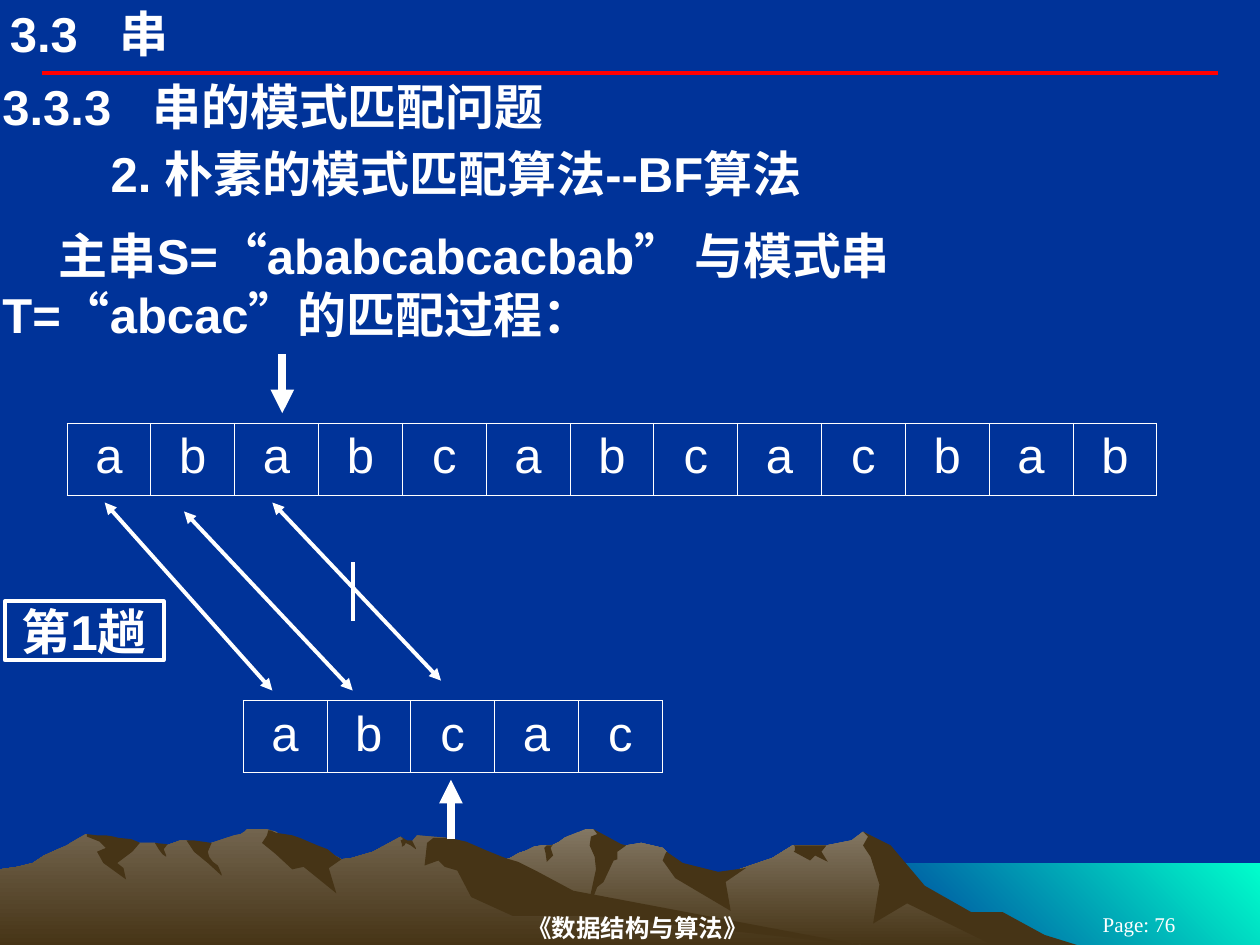
from lxml import etree
from pptx import Presentation
from pptx.dml.color import RGBColor
from pptx.enum.shapes import MSO_CONNECTOR, MSO_SHAPE
from pptx.enum.text import MSO_ANCHOR, MSO_AUTO_SIZE, PP_ALIGN
from pptx.oxml.ns import qn
from pptx.util import Cm, Pt

STRAIGHT = MSO_CONNECTOR.STRAIGHT
RECTANGLE = MSO_SHAPE.RECTANGLE
TOP, MIDDLE = MSO_ANCHOR.TOP, MSO_ANCHOR.MIDDLE
LEFT, CENTER = PP_ALIGN.LEFT, PP_ALIGN.CENTER

COLORS = {"background": "003399", "text": "FFFFFF", "rule": "FF0000", "sea": "00FFCC",
          "right_ridge": "837763", "left_ridge": "72644E", "shade": "463416"}
POINT_SCALE = Cm(2.54) / 100
CELL_WIDTH, CELL_HEIGHT = 1.69, 1.45

SEA = [(1000, 752), (683, 752), (683, 685), (1000, 685)]
RIGHT_RIDGE = [
    (802, 740), (778, 727), (764, 723), (723, 698), (702, 671), (685, 660), (676, 667),
    (656, 671), (629, 671), (613, 681), (566, 697), (536, 690), (529, 676), (526, 673),
    (509, 669), (497, 671), (486, 673), (474, 661), (471, 658), (465, 658), (450, 664),
    (448, 665), (444, 668), (438, 671), (433, 671), (430, 671), (424, 672), (418, 675),
    (412, 677), (405, 681), (399, 683), (395, 684), (394, 685), (355, 698), (327, 709),
    (277, 739), (258, 751), (821, 751)]
RIGHT_SHADES = [
    [(796, 724), (771, 724), (734, 703), (707, 671), (685, 660), (689, 664), (685, 671),
     (691, 680), (698, 702), (693, 733), (720, 717), (792, 752), (858, 751), (829, 742)],
    [(471, 658), (474, 662), (469, 664), (468, 671), (472, 680), (473, 690), (465, 727),
     (474, 704), (479, 700), (487, 683), (490, 682), (490, 676), (497, 671), (493, 670)],
    [(529, 676), (528, 678), (526, 683), (536, 697), (580, 723), (576, 700), (592, 689),
     (570, 692), (542, 685)],
    [(650, 671), (630, 671), (631, 672), (631, 675), (630, 676), (643, 683), (647, 679),
     (657, 684), (652, 676), (656, 671)],
    [(433, 677), (432, 673), (434, 671), (438, 671), (439, 670), (437, 673), (439, 679),
     (434, 684)]]
LEFT_RIDGE = [
    (690, 751), (667, 748), (432, 712), (354, 665), (331, 663), (327, 668), (323, 668),
    (318, 664), (296, 676), (279, 681), (271, 682), (260, 676), (236, 681), (223, 663),
    (222, 662), (219, 660), (215, 659), (212, 658), (196, 658), (194, 660), (191, 662),
    (186, 663), (180, 665), (168, 669), (160, 671), (148, 667), (143, 667), (132, 671),
    (128, 671), (123, 669), (111, 669), (94, 671), (68, 662), (56, 669), (53, 671),
    (46, 674), (35, 679), (26, 685), (14, 688), (0, 690), (0, 751)]
LEFT_SHADES = [
    [(212, 663), (208, 669), (219, 678), (232, 690), (241, 688), (267, 709), (261, 689),
     (271, 682), (266, 679), (260, 674), (252, 671), (245, 668), (238, 665), (232, 663),
     (226, 662), (219, 661), (215, 659), (213, 659)],
    [(370, 668), (361, 666), (354, 665), (344, 665), (339, 669), (337, 687), (348, 683),
     (353, 688), (363, 691), (374, 712), (407, 727), (472, 727), (690, 751), (683, 750),
     (455, 707), (427, 692), (411, 684), (401, 681), (386, 675)],
    [(318, 667), (320, 666), (318, 664), (323, 667), (327, 667), (330, 673), (330, 674),
     (326, 671), (322, 669), (321, 671), (319, 672), (319, 670)],
    [(154, 667), (161, 668), (168, 669), (165, 676), (166, 680), (169, 684), (173, 687),
     (176, 694), (176, 695), (165, 685), (154, 676), (148, 667)],
    [(133, 670), (130, 674), (132, 679), (132, 680), (129, 678), (126, 674), (123, 669)],
    [(109, 668), (111, 669), (105, 676), (93, 685), (98, 689), (100, 698), (82, 685),
     (77, 676), (84, 673), (79, 668), (69, 664), (69, 662), (77, 663), (84, 663),
     (90, 664), (94, 665), (104, 666)]]


def color(name):
    """Return the named colour."""
    return RGBColor.from_string(COLORS[name])


def add_outline(slide, points, first, last=None, angle=0):
    """Draw a closed outline with a solid or two-colour fill."""
    builder = slide.shapes.build_freeform(*points[0], scale=POINT_SCALE)
    builder.add_line_segments(points[1:], close=True)
    shape = builder.convert_to_shape()
    shape.shadow.inherit = False
    shape.line.fill.background()
    if last is None:
        shape.fill.solid()
        shape.fill.fore_color.rgb = color(first)
        return
    shape.fill.gradient()
    shape.fill.gradient_angle = angle
    for stop, name, position in zip(shape.fill.gradient_stops, (first, last), (0, 1)):
        stop.color.rgb = color(name)
        stop.position = position


def add_scenery(slide):
    """Draw the sea and the two mountain ridges."""
    add_outline(slide, SEA, "sea", "background", 225)
    for ridge, shades, name in ((RIGHT_RIDGE, RIGHT_SHADES, "right_ridge"),
                                (LEFT_RIDGE, LEFT_SHADES, "left_ridge")):
        add_outline(slide, ridge, name, "shade", 270)
        for points in shades:
            add_outline(slide, points, "shade")


def add_run(paragraph, text, size=28, bold=True, font_name="Arial"):
    """Add one formatted run."""
    run = paragraph.add_run()
    run.text = text
    run.font.size = Pt(size)
    run.font.bold = bold
    run.font.name = font_name
    run.font.color.rgb = color("text")


def place(shape, left, top, width, height):
    """Move and size a shape in centimetres."""
    shape.left, shape.top, shape.width, shape.height = map(Cm, (left, top, width, height))


def prepare_text(shape, inset=(0.05, 0.03), anchor=TOP, align=LEFT, indent=0, tab=None):
    """Set up a text frame and return its first paragraph."""
    frame = shape.text_frame
    frame.word_wrap = True
    frame.auto_size = MSO_AUTO_SIZE.NONE
    frame.vertical_anchor = anchor
    frame.margin_left = frame.margin_right = Cm(inset[0])
    frame.margin_top = frame.margin_bottom = Cm(inset[1])
    paragraph = frame.paragraphs[0]
    paragraph.alignment = align
    properties = paragraph._p.get_or_add_pPr()
    if indent:
        properties.set("indent", str(Cm(indent)))
    if tab:
        tabs = etree.SubElement(properties, qn("a:tabLst"))
        etree.SubElement(tabs, qn("a:tab"), pos=str(Cm(tab)), algn="l")
    return paragraph


def add_text_box(slide, box, **layout):
    """Add a text box and return its first paragraph."""
    return prepare_text(slide.shapes.add_textbox(*map(Cm, box)), **layout)


def add_line(slide, start, end, width=2.25, name="text", ends=()):
    """Draw a straight line with triangles at the given ends."""
    line = slide.shapes.add_connector(STRAIGHT, *map(Cm, start + end))
    line.line.color.rgb = color(name)
    line.line.width = Pt(width)
    outline = line.line._get_or_add_ln()
    for end_tag in ends:
        etree.SubElement(outline, qn(end_tag), type="triangle")
    etree.SubElement(line._element.spPr, qn("a:effectLst"))


def add_string_table(slide, letters, left, top):
    """Show a string as one row of bordered cells."""
    table = slide.shapes.add_table(1, len(letters), Cm(left), Cm(top),
                                   Cm(CELL_WIDTH * len(letters)), Cm(CELL_HEIGHT)).table
    table.first_row = table.horz_banding = False
    for index, letter in enumerate(letters):
        table.columns[index].width = Cm(CELL_WIDTH)
        cell = table.cell(0, index)
        properties = cell._tc.get_or_add_tcPr()
        for side in "LRTB":
            border = etree.SubElement(properties, qn(f"a:ln{side}"), w=str(Pt(0.45)))
            fill = etree.SubElement(border, qn("a:solidFill"))
            etree.SubElement(fill, qn("a:srgbClr"), val=COLORS["text"])
        cell.fill.background()
        paragraph = cell.text_frame.paragraphs[0]
        paragraph.alignment = CENTER
        add_run(paragraph, letter, bold=False)


def add_round_label(slide, text):
    """Add the framed label of the matching round."""
    label = slide.shapes.add_shape(RECTANGLE, *map(Cm, (0.1, 12.12, 3.2, 1.19)))
    label.shadow.inherit = False
    label.fill.solid()
    label.fill.fore_color.rgb = color("background")
    label.line.color.rgb = color("text")
    label.line.width = Pt(2.25)
    paragraph = prepare_text(label, (0.25, 0.13), MIDDLE, CENTER)
    label.text_frame.word_wrap = False
    add_run(paragraph, text)


def add_headings(slide):
    """Fill the title and the lines of text below it."""
    title = slide.shapes.title
    place(title, 0.2, 0.08, 16.51, 1.19)
    add_run(prepare_text(title, (0, 0), tab=2.2), "3.3\t串")
    add_run(add_text_box(slide, (0, 1.52, 25.4, 1.24), tab=3.02), "3.3.3\t串的模式匹配问题")
    add_run(add_text_box(slide, (0, 2.87, 25.4, 1.24), indent=2.18),
            "2. 朴素的模式匹配算法--BF算法")
    paragraph = add_text_box(slide, (0, 4.52, 25.4, 2.44), indent=1.14)
    add_run(paragraph, "主串S=“ababcabcacbab” 与模式串")
    paragraph.add_line_break()
    add_run(paragraph, "T=“abcac”的匹配过程：")


def add_footer(slide):
    """Add the course name and the page number."""
    course = add_text_box(slide, (5.16, 18.34, 15.39, 0.71), inset=(0, 0.03),
                          anchor=MIDDLE, align=CENTER)
    add_run(course, "《数据结构与算法》", 14, True, "Times New Roman")
    page = add_text_box(slide, (20.96, 18.42, 4.01, 0.43), inset=(0.25, 0.13),
                        anchor=MIDDLE, align=CENTER)
    add_run(page, "Page: 76", 12, False, "Times New Roman")


def add_matching(slide):
    """Show both strings, the compared letters and the pointers."""
    add_string_table(slide, "ababcabcacbab", 1.35, 8.53)
    add_string_table(slide, "abcac", 4.9, 14.12)
    for start, end in (((2.11, 10.13), (5.49, 13.92)), ((3.71, 10.31), (7.11, 13.92)),
                       ((5.49, 10.13), (8.89, 13.72))):
        add_line(slide, start, end, ends=("a:headEnd", "a:tailEnd"))
    add_line(slide, (7.11, 11.33), (7.11, 12.52))
    for start, end in (((9.09, 16.92), (9.09, 15.72)), ((5.69, 7.14), (5.69, 8.33))):
        add_line(slide, start, end, 4.5, ends=("a:tailEnd",))
    add_round_label(slide, "第1趟")


def main():
    """Build and save the slide."""
    presentation = Presentation()
    presentation.slide_width, presentation.slide_height = Cm(25.4), Cm(19.05)
    slide = presentation.slides.add_slide(presentation.slide_layouts[5])
    slide.background.fill.solid()
    slide.background.fill.fore_color.rgb = color("background")
    add_scenery(slide)
    add_line(slide, (0.84, 1.47), (24.56, 1.47), name="rule")
    add_footer(slide)
    add_headings(slide)
    add_matching(slide)
    presentation.save("out.pptx")


if __name__ == "__main__":
    main()
